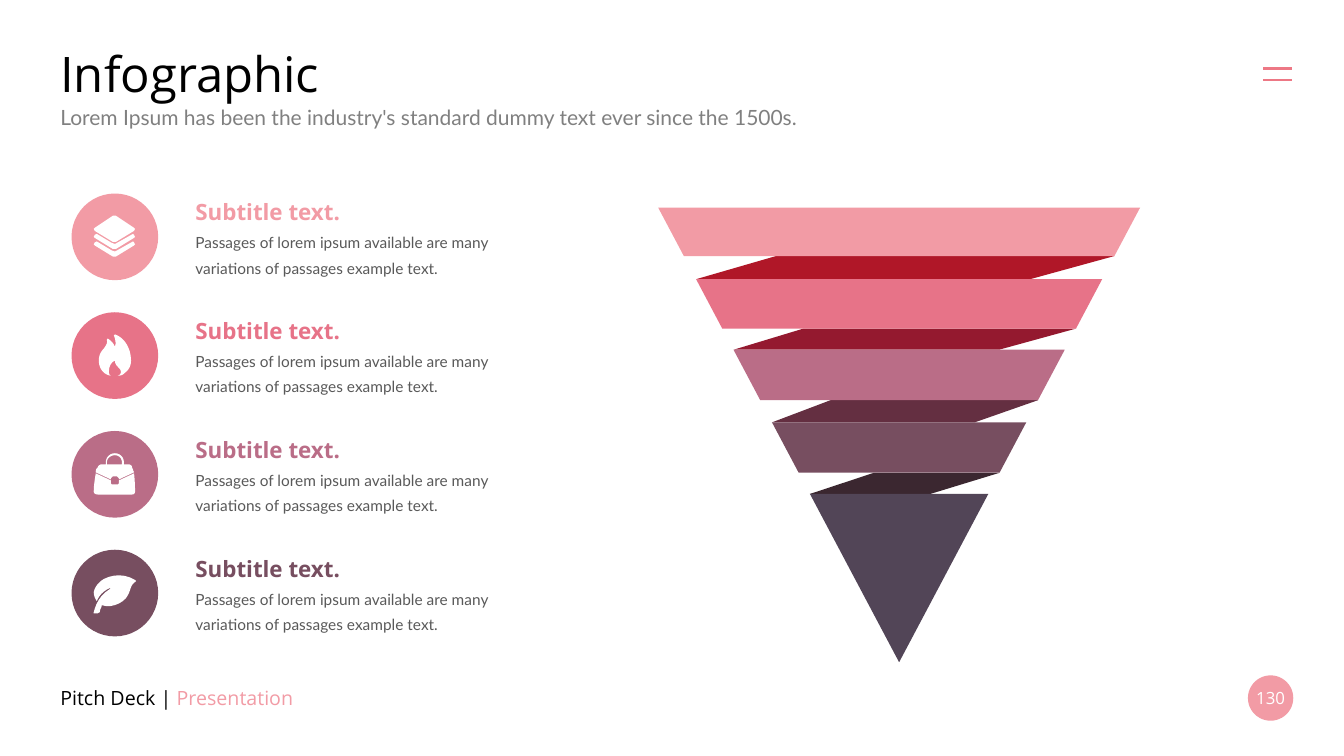
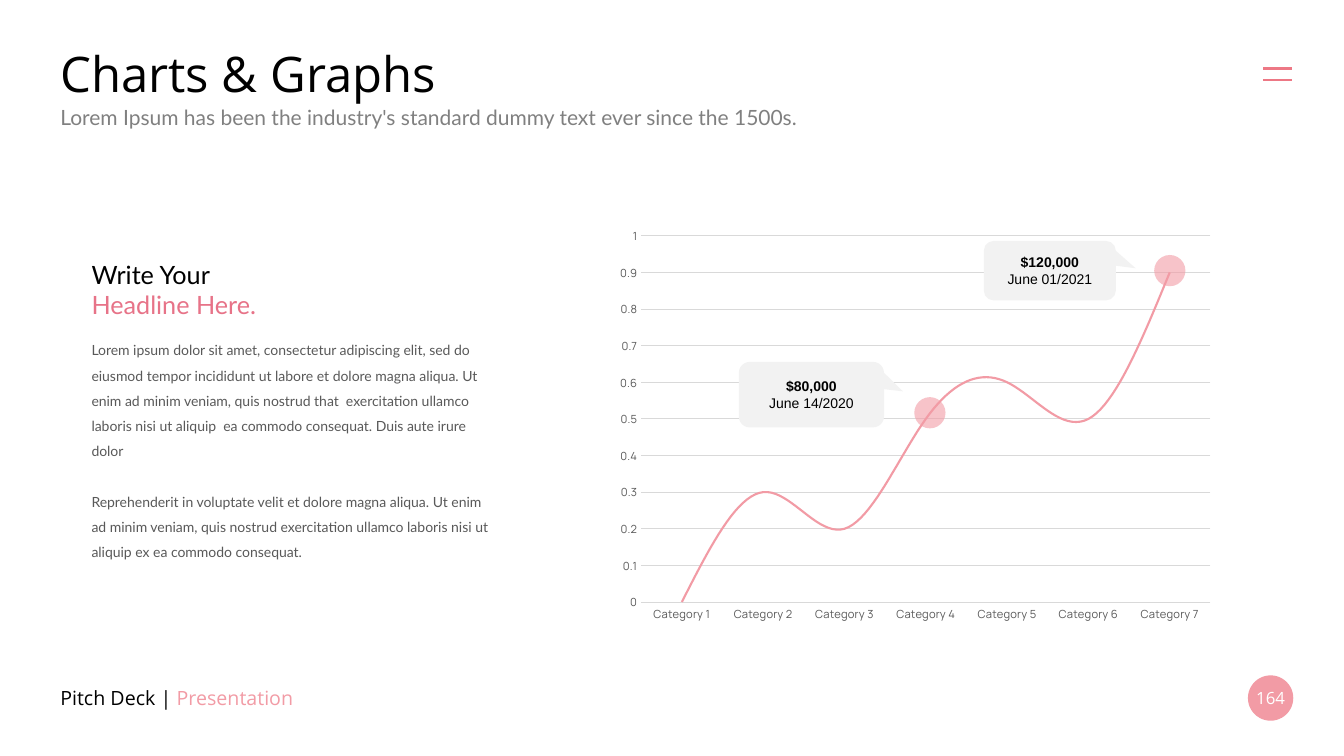
from dataclasses import dataclass
from typing import NamedTuple

from lxml import etree
from pptx import Presentation
from pptx import util as u
from pptx.chart import data
from pptx.dml.color import RGBColor
from pptx.enum import chart as charts, shapes, text
from pptx.oxml import ns

CELL = 91440  # the grid: ten columns or rows to the inch
WIDE, HIGH = 133.33, 75
KIND = shapes.MSO_SHAPE


# Theme
@dataclass(frozen=True)
class Theme:
    ink: str = "000000"
    body: str = "595959"
    mute: str = "808080"
    white: str = "FFFFFF"
    pale: str = "F2F2F2"
    rule: str = "D9D9D9"
    menu: str = "ED7885"
    pink: str = "F29BA5"
    rose: str = "E77388"
    mauve: str = "BA6D87"
    plum: str = "774E60"
    night: str = "524557"
    head: str = "Open Sans"
    text: str = "Lato"
    axis: str = "Manrope"
    plain: str = "Arial"
    title: int = 35
    big: int = 18
    sub: int = 16
    lead: int = 15
    foot: int = 14
    page: int = 12
    note: int = 11
    small: int = 10
    tick: int = 8
    line: int = 18


T = Theme()


# Records
class Box(NamedTuple):
    x: float
    y: float
    w: float
    h: float


class Run(NamedTuple):
    words: str
    color: str
    bold: bool = False


class Item(NamedTuple):
    color: str
    icon: list


class Band(NamedTuple):
    top: float
    base: float
    color: str


class Fold(NamedTuple):
    left: float
    right: float
    color: str


class Mark(NamedTuple):
    dot: Box
    box: Box
    tip: tuple
    price: str
    date: str


# Drawing helpers
def cell(n: float) -> int:
    return round(n * CELL)


def rgb(code: str) -> RGBColor:
    return RGBColor.from_string(code)


def paint(shape, color: str, alpha: int = 100):
    shape.shadow.inherit = False
    shape.fill.solid()
    shape.fill.fore_color.rgb = rgb(color)
    shape.line.fill.background()
    if alpha < 100:
        tone = shape.fill._xPr.find(".//" + ns.qn("a:srgbClr"))
        etree.SubElement(tone, ns.qn("a:alpha"), val=str(alpha * 1000))
    return shape


def form(slide, kind, box: Box, color: str, alpha: int = 100):
    return paint(slide.shapes.add_shape(kind, *map(cell, box)), color, alpha)


def write(shape, *rows: tuple, size: int, font: str = T.text,
          align=text.PP_ALIGN.LEFT, mid: bool = False, wrap: bool = True,
          line: int = 0, gap: int = 0) -> None:
    """Each row is a tuple of runs and makes one paragraph."""
    frame = shape.text_frame
    frame.word_wrap = wrap
    frame.vertical_anchor = (text.MSO_ANCHOR.MIDDLE if mid
                             else text.MSO_ANCHOR.TOP)
    for i, row in enumerate(rows):
        para = frame.add_paragraph() if i else frame.paragraphs[0]
        para.alignment = align
        if line:
            para.line_spacing = u.Pt(line)
        if gap and i:
            para.space_before = u.Pt(gap)
        for run in row:
            part = para.add_run()
            part.text = run.words
            part.font.size, part.font.name = u.Pt(size), font
            part.font.bold = run.bold
            part.font.color.rgb = rgb(run.color)


def label(slide, box: Box, *rows: tuple, **look) -> None:
    write(slide.shapes.add_textbox(*map(cell, box)), *rows, **look)


def stroke(slide, x: float, y: float, w: float, color: str) -> None:
    rod = slide.shapes.add_connector(
        shapes.MSO_CONNECTOR.STRAIGHT, *map(cell, (x, y, x + w, y)))
    rod.line.color.rgb, rod.line.width = rgb(color), u.Pt(1.5)
    etree.SubElement(rod._element.spPr, ns.qn("a:effectLst"))


def trace(steps: list, count: int = 6) -> list:
    """Turn points and Bezier steps (two controls, end) into points."""
    pts = []
    for step in steps:
        if len(step) == 2:
            pts.append(step)
            continue
        knots = (pts[-1], step[:2], step[2:4], step[4:])
        for i in range(1, count + 1):
            t = i / count
            load = ((1 - t) ** 3, 3 * t * (1 - t) ** 2,
                    3 * t * t * (1 - t), t ** 3)
            pts.append(tuple(sum(f * k[axis] for f, k in zip(load, knots))
                             for axis in (0, 1)))
    return pts


def outline(slide, loops: list, color: str, x: float = 0, y: float = 0,
            unit: float = 1) -> None:
    pen = None
    for loop in loops:
        pts = [(cell(x + a * unit), cell(y + b * unit))
               for a, b in trace(loop)]
        if pen is None:
            pen = slide.shapes.build_freeform(*pts[0])
        else:
            pen.move_to(*pts[0])
        pen.add_line_segments(pts[1:], close=True)
    paint(pen.convert_to_shape(), color)


# Shared slide frame
def base(deck, title: str, page: int):
    slide = deck.slides.add_slide(deck.slide_layouts[6])
    disc = form(slide, KIND.OVAL, Box(123.8, 67, 4.5, 4.5), T.pink)
    write(disc, (Run(str(page), T.white),), size=T.page, font=T.head,
          align=text.PP_ALIGN.CENTER, mid=True, wrap=False)
    label(slide, Box(5, 3.9, 123.3, 6.6), (Run(title, T.ink),),
          size=T.title, font=T.head, mid=True)
    label(slide, Box(5, 67.2, 32.9, 4),
          (Run("Pitch Deck | ", T.ink), Run("Presentation", T.pink)),
          size=T.foot, font=T.head, mid=True)
    for y in (6.8, 7.9):
        stroke(slide, 125.3, y, 2.9, T.menu)
    label(slide, Box(5, 9.9, 123.3, 3.5),
          (Run("Lorem Ipsum has been the industry's standard dummy text "
               "ever since the 1500s.", T.mute),), size=T.lead)
    return slide


# Icons, in tenths of a cell from the corner of their disc
def layer(drop: float) -> list:
    pts = [(63, 43), (62, 44), (44, 55), (41, 55), (23, 44), (22, 43),
           (23, 41), (25, 40), (40, 49), (43, 50), (45, 49), (61, 40),
           (62, 41)]
    return [(x, y + drop) for x, y in pts]


STACK = [
    [(23, 37), (41, 48), (44, 48), (62, 37), (63, 35), (62, 34), (44, 22),
     (41, 22), (23, 34), (22, 35)],
    layer(0), layer(7.5)]
FLAME = [[
    (51, 27), (47, 23, 43, 22, 43, 22), (42, 23), (44, 28, 44, 32, 43, 34),
    (41, 29, 37, 27, 36, 26), (35, 27), (36, 31, 34, 33, 32, 36),
    (29, 39, 27, 43, 27, 48), (27, 56, 32, 62, 39, 63),
    (38, 63, 37, 61, 37, 59), (37, 50, 43, 48, 43, 48),
    (43, 54, 49, 55, 49, 59), (49, 61, 48, 62, 46, 63),
    (49, 63, 51, 62, 53, 60), (57, 57, 59, 53, 59, 48),
    (59, 37, 54, 30, 51, 27)]]
BAG = [
    [(39, 47), (41, 45), (45, 45), (47, 47), (47, 48), (62, 41),
     (61, 39, 61, 38, 60, 36), (60, 34, 58, 33, 56, 33), (52, 33), (52, 31),
     (52, 26, 48, 22, 43, 22), (38, 22, 34, 26, 34, 31), (34, 33), (30, 33),
     (28, 33, 26, 35, 26, 36), (24, 38, 24, 39, 24, 41), (39, 48)],
    [(35, 31), (35, 27, 39, 24, 43, 24), (47, 24, 50, 27, 50, 31), (50, 33),
     (35, 33)],
    [(62, 42), (47, 49), (47, 51), (47, 53, 46, 53, 45, 53), (41, 53),
     (40, 53, 39, 53, 39, 51), (39, 49), (24, 42), (23, 48, 22, 55, 22, 60),
     (22, 62, 24, 63, 26, 63), (60, 63), (62, 63, 63, 62, 63, 60),
     (63, 59, 63, 50, 62, 42)]]
LEAF = [[
    (63, 30), (53, 24, 42, 24, 32, 29), (27, 32, 23, 37, 22, 42),
    (22, 45, 23, 48, 25, 51), (27, 46, 31, 41, 38, 38), (39, 38), (38, 39),
    (28, 45, 24, 54, 22, 62), (22, 63), (26, 63), (28, 62),
    (28, 59, 30, 57, 30, 55), (38, 58, 49, 54, 54, 48),
    (56, 45, 57, 43, 58, 40), (59, 37, 60, 34, 63, 32), (64, 31)]]

ITEMS = [Item(T.pink, STACK), Item(T.rose, FLAME), Item(T.mauve, BAG),
         Item(T.plum, LEAF)]
BANDS = [Band(20.6, 25.4, T.pink), Band(27.7, 32.6, T.rose),
         Band(34.7, 39.7, T.mauve), Band(41.9, 46.9, T.plum),
         Band(49, 65.7, T.night)]
FOLDS = [Fold(77, 102.2, "B01728"), Fold(79.7, 99.1, "94192F"),
         Fold(82.4, 96.7, "642F41"), Fold(86.7, 92.3, "3B2730")]


# Slide with the funnel
def side(y: float, sign: int) -> tuple:
    """Point on the left (-1) or right (1) edge of the funnel."""
    return 89.2 + sign * 0.53 * (BANDS[-1].base - y), y


def funnel(slide) -> None:
    for fold, over, under in zip(FOLDS, BANDS, BANDS[1:]):
        outline(slide, [[side(under.top, -1), (fold.left, over.base),
                         side(over.base, 1), (fold.right, under.top)]],
                fold.color)
    for band in BANDS:
        outline(slide, [[side(band.top, -1), side(band.top, 1),
                         side(band.base, 1), side(band.base, -1)]],
                band.color)


def info(deck) -> None:
    slide = base(deck, "Infographic", 130)
    funnel(slide)
    for i, item in enumerate(ITEMS):
        x, y = 7.1, 19.2 + 11.78 * i
        form(slide, KIND.OVAL, Box(x, y, 8.6, 8.6), item.color)
        outline(slide, item.icon, T.white, x, y, 0.1)
        label(slide, Box(18.4, y, 28.5, 3.4),
              (Run("Subtitle text.", item.color, True),),
              size=T.sub, font=T.head)
        label(slide, Box(18.4, y + 2.8, 31.2, 5.8),
              (Run("Passages of lorem ipsum available are many", T.body),),
              (Run("variations of passages example text.", T.body),),
              size=T.note, line=T.line, wrap=False)


# Slide with the chart
VALS = (0, 0.3, 0.2, 0.5, 0.6, 0.5, 0.9)
MARKS = [
    Mark(Box(90.7, 39.4, 3.1, 3.1), Box(73.3, 35.9, 14.4, 6.5),
         (0.63, -0.05), "$80,000", "June 14/2020"),
    Mark(Box(114.5, 25.3, 3.1, 3.1), Box(97.6, 23.9, 13.1, 5.9),
         (0.65, -0.04), "$120,000", "June 01/2021")]


def curve(slide, box: Box) -> None:
    feed = data.CategoryChartData()
    feed.categories = [f"Category {i}" for i in range(1, len(VALS) + 1)]
    feed.add_series("Series 1", VALS)
    plot = slide.shapes.add_chart(charts.XL_CHART_TYPE.LINE,
                                  *map(cell, box), feed).chart
    plot.has_legend = plot.has_title = False
    plot.font.size, plot.font.name = u.Pt(T.small), T.plain
    plot.plots[0].vary_by_categories = False
    trend = plot.plots[0].series[0]
    trend.smooth = True
    trend.marker.style = charts.XL_MARKER_STYLE.NONE
    cats, vals = plot.category_axis, plot.value_axis
    for axis in (cats, vals):
        axis.major_tick_mark = charts.XL_TICK_MARK.NONE
        axis.minor_tick_mark = charts.XL_TICK_MARK.NONE
        font = axis.tick_labels.font
        font.size, font.name = u.Pt(T.tick), T.axis
        font.color.rgb = rgb(T.body)
    vals.minimum_scale, vals.maximum_scale, vals.major_unit = 0, 1, 0.1
    vals.format.line.fill.background()
    grid = vals.major_gridlines.format.line
    for pen, color, width in ((trend.format.line, T.pink, 1.5),
                              (cats.format.line, T.rule, 0.75),
                              (grid, T.rule, 0.75)):
        pen.color.rgb, pen.width = rgb(color), u.Pt(width)


def graph(deck) -> None:
    slide = base(deck, "Charts & Graphs", 164)
    curve(slide, Box(60.3, 21.8, 61, 40.7))
    for mark in MARKS:
        form(slide, KIND.OVAL, mark.dot, T.pink, 60)
        note = form(slide, KIND.ROUNDED_RECTANGULAR_CALLOUT, mark.box, T.pale)
        for i, share in enumerate(mark.tip):
            note.adjustments[i] = share
        write(note, (Run(mark.price, T.ink, True),),
              (Run(mark.date, T.ink),), size=T.small, font=T.plain,
              align=text.PP_ALIGN.CENTER, mid=True)
    label(slide, Box(8.1, 32.6, 41.7, 23.4),
          (Run("Lorem ipsum dolor sit amet, consectetur adipiscing elit, sed "
               "do eiusmod tempor incididunt ut labore et dolore magna "
               "aliqua. Ut enim ad minim veniam, quis nostrud that  "
               "exercitation ullamco laboris nisi ut aliquip  ea commodo "
               "consequat. Duis aute irure dolor", T.body),),
          (Run("Reprehenderit in voluptate velit et dolore magna aliqua. Ut "
               "enim ad minim veniam, quis nostrud exercitation ullamco "
               "laboris nisi ut aliquip ex ea commodo consequat.", T.body),),
          size=T.small, line=T.line, gap=T.line)
    label(slide, Box(8.1, 25.2, 19.2, 7.1), (Run("Write Your", T.ink),),
          (Run("Headline Here.", T.rose),), size=T.big, wrap=False)


def main() -> None:
    deck = Presentation()
    deck.slide_width, deck.slide_height = cell(WIDE), cell(HIGH)
    info(deck)
    graph(deck)
    deck.save("out.pptx")


if __name__ == "__main__":
    main()
